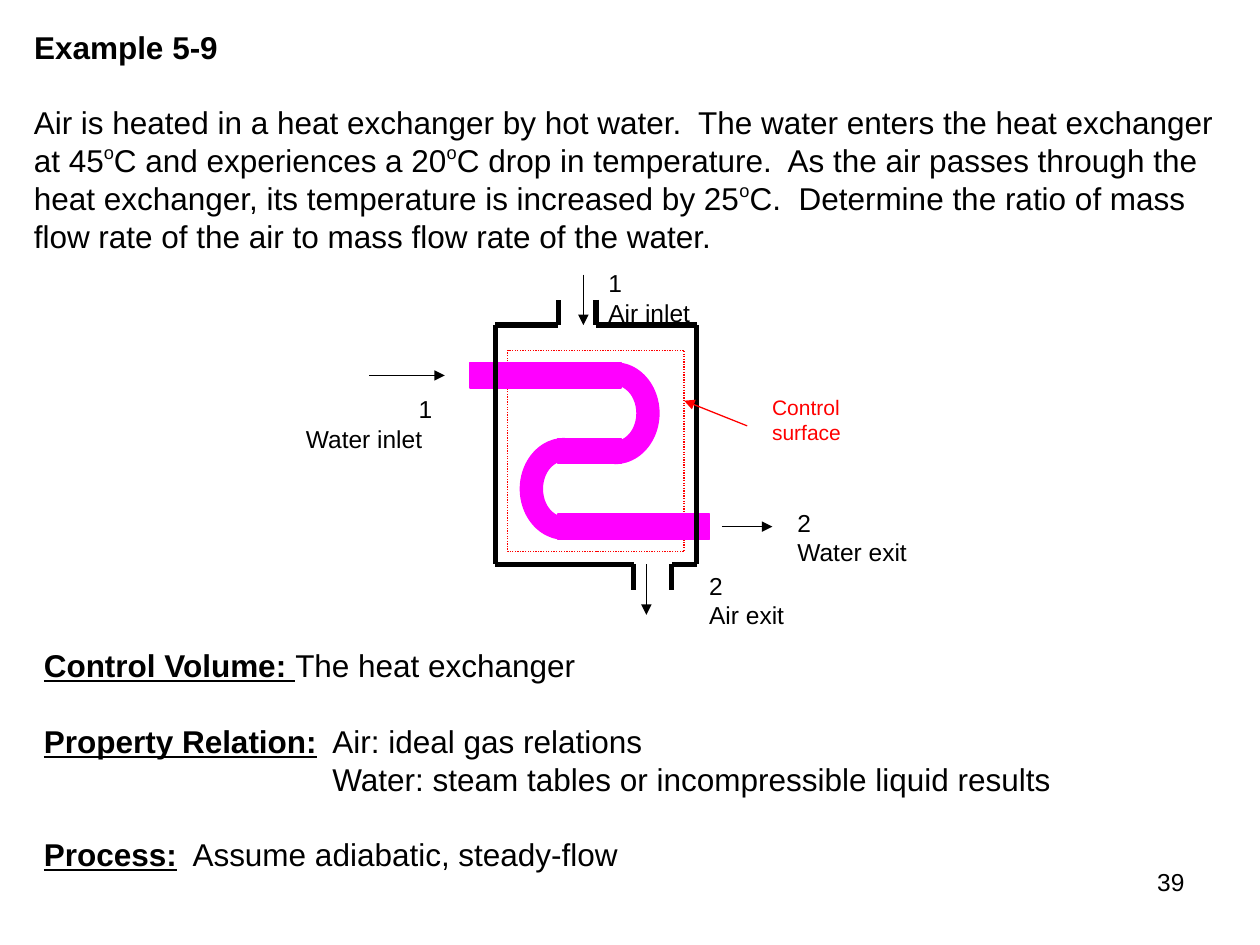
from dataclasses import dataclass

from lxml.etree import SubElement
from pptx import Presentation
from pptx.dml.color import RGBColor
from pptx.enum.dml import MSO_LINE
from pptx.enum.shapes import MSO_CONNECTOR, MSO_SHAPE
from pptx.enum.text import MSO_ANCHOR, MSO_AUTO_SIZE, PP_ALIGN
from pptx.oxml.ns import qn
from pptx.util import Inches, Pt


@dataclass(frozen=True)
class Theme:
    font: str = "Arial"
    ink: RGBColor = RGBColor(0, 0, 0)
    paper: RGBColor = RGBColor(255, 255, 255)
    boundary: RGBColor = RGBColor(255, 0, 0)
    water: RGBColor = RGBColor(255, 0, 255)
    body_size: int = 18
    label_size: int = 14
    note_size: int = 12
    thin: float = 0.75
    wall: float = 3
    section_gap: float = 21.6


HEADING = {"bold": True, "underline": True}
RAISED = {"baseline": "42000"}


class SlideBuilder:
    def __init__(self, slide, theme):
        self.slide = slide
        self.theme = theme

    def set_text(self, frame, paragraphs, size, color=None, align=PP_ALIGN.LEFT,
                 anchor=MSO_ANCHOR.TOP):
        """Fill a frame; each paragraph is (runs, format), each run (text, style)."""
        frame_format = {"word_wrap": True, "auto_size": MSO_AUTO_SIZE.NONE,
                        "vertical_anchor": anchor}
        for name, value in frame_format.items():
            setattr(frame, name, value)
        for number, (runs, layout) in enumerate(paragraphs):
            paragraph = frame.add_paragraph() if number else frame.paragraphs[0]
            layout = {"alignment": align, **layout}
            properties = paragraph._p.get_or_add_pPr()
            for name in ("marL", "indent"):
                if name in layout:
                    properties.set(name, str(Inches(layout.pop(name))))
            for name, value in layout.items():
                setattr(paragraph, name, value)
            for text, style in runs:
                run = paragraph.add_run()
                run.text = text
                run.font.color.rgb = color or self.theme.ink
                style = {"name": self.theme.font, "size": Pt(size), "bold": False, **style}
                baseline = style.pop("baseline", None)
                if baseline:
                    run._r.get_or_add_rPr().set("baseline", baseline)
                for name, value in style.items():
                    setattr(run.font, name, value)

    def title(self, text, box):
        heading = self.slide.shapes.title
        for name, value in zip(("left", "top", "width", "height"), box):
            setattr(heading, name, Inches(value))
        self.set_text(heading.text_frame, [([(text, {"bold": True})], {})],
                      self.theme.body_size)

    def text(self, box, paragraphs, size, **options):
        frame = self.slide.shapes.add_textbox(*map(Inches, box)).text_frame
        self.set_text(frame, paragraphs, size, **options)

    def label(self, box, *lines, size=None, **options):
        self.text(box, [([(line, {})], {}) for line in lines],
                  size or self.theme.label_size, **options)

    def shape(self, preset, box, fill, line, rotation=0, dash=None):
        part = self.slide.shapes.add_shape(preset, *map(Inches, box))
        part.shadow.inherit = False
        part.rotation = rotation
        part.fill.solid()
        part.fill.fore_color.rgb = fill
        part.line.color.rgb = line
        part.line.width = Pt(self.theme.thin)
        if dash:
            part.line.dash_style = dash
        return part

    def pipe(self, box):
        self.shape(MSO_SHAPE.RECTANGLE, box, self.theme.water, self.theme.water)

    def bend(self, box, rotation):
        elbow = self.shape(MSO_SHAPE.BLOCK_ARC, box, self.theme.water,
                           self.theme.water, rotation)
        for index, value in enumerate((108, 0, 0.25)):
            elbow.adjustments[index] = value

    def line(self, start, end, width, color=None):
        stroke = self.slide.shapes.add_connector(
            MSO_CONNECTOR.STRAIGHT, *map(Inches, (*start, *end)))
        stroke.line.color.rgb = color or self.theme.ink
        stroke.line.width = Pt(width)
        SubElement(stroke._element.spPr, qn("a:effectLst"))
        return stroke

    def arrow(self, start, end, color=None):
        stroke = self.line(start, end, self.theme.thin, color)
        outline = stroke._element.spPr.find(qn("a:ln"))
        SubElement(outline, qn("a:tailEnd"), type="triangle")


def add_problem(builder):
    builder.title("Example 5-9", (0.17, 0.17, 9.67, 0.4))
    statement = [
        ("Air is heated in a heat exchanger by hot water.  The water enters the "
         "heat exchanger at 45", {}),
        ("o", RAISED),
        ("C and experiences a 20", {}),
        ("o", RAISED),
        ("C drop in temperature.  As the air passes through the heat exchanger, "
         "its temperature is increased by 25", {}),
        ("o", RAISED),
        ("C.  Determine the ratio of mass flow rate of the air to mass flow rate "
         "of the water.", {}),
    ]
    builder.text((0.17, 0.77, 9.67, 1.3), [(statement, {})], builder.theme.body_size)


def add_heat_exchanger(builder):
    theme = builder.theme
    left, right, top, bottom = 3.93, 5.53, 2.58, 4.48

    builder.shape(MSO_SHAPE.RECTANGLE, (left + 0.1, top + 0.2, 1.4, 1.6),
                  theme.paper, theme.boundary, dash=MSO_LINE.ROUND_DOT)
    builder.bend((4.08, 3.53, 0.8, 0.7), 270)
    builder.bend((4.48, 2.93, 0.8, 0.7), 90)
    for x, y, length in ((4.43, 3.48, 0.5), (4.43, 4.08, 1.2), (3.73, 2.88, 1.2)):
        builder.pipe((x, y, length, 0.2))

    inlet_left, inlet_right, inlet_top = 4.43, 4.73, top - 0.2
    exit_left, exit_right, exit_bottom = 5.03, 5.33, bottom + 0.2
    walls = (
        ((left, top), (left, bottom)),
        ((right, top), (right, bottom)),
        ((left, top), (inlet_left, top)),
        ((inlet_left, top), (inlet_left, inlet_top)),
        ((inlet_right, inlet_top), (inlet_right, top)),
        ((inlet_right, top), (right, top)),
        ((right, bottom), (exit_right, bottom)),
        ((exit_right, bottom), (exit_right, exit_bottom)),
        ((exit_left, bottom), (exit_left, exit_bottom)),
        ((exit_left, bottom), (left, bottom)),
    )
    for start, end in walls:
        builder.line(start, end, theme.wall)

    flows = (((4.63, 2.18), (4.63, top)), ((5.13, bottom), (5.13, 4.88)),
             ((2.93, 2.98), (3.53, 2.98)), ((5.73, 4.18), (6.13, 4.18)))
    for start, end in flows:
        builder.arrow(start, end)

    builder.label((4.73, 2.08, 0.9, 0.6), "1", "Air inlet")
    builder.label((6.23, 3.98, 1.1, 0.6), "2", "Water exit")
    builder.label((5.53, 4.48, 0.9, 0.6), "2", "Air exit")
    builder.text((2.33, 3.08, 1.2, 0.6),
                 [([("1", {})], {"alignment": PP_ALIGN.RIGHT}),
                  ([("Water inlet", {})], {})], theme.label_size)

    builder.label((6.03, 3.08, 0.8, 0.5), "Control", "surface", size=theme.note_size,
                  color=theme.boundary, align=PP_ALIGN.JUSTIFY)
    builder.arrow((5.93, 3.38), (5.43, 3.18), theme.boundary)


def add_solution_setup(builder):
    gap = {"space_before": Pt(builder.theme.section_gap)}
    relation_indent, process_indent = 2.29, 1.18
    builder.text((0.25, 5.08, 8.27, 1.9), [
        ([("Control Volume: ", HEADING), ("The heat exchanger", {})], {}),
        ([("Property Relation:", HEADING), ("\tAir: ideal gas relations", {})],
         {"marL": relation_indent, "indent": -relation_indent, **gap}),
        ([("Water: steam tables or incompressible liquid results", {})],
         {"marL": relation_indent, "indent": 0}),
        ([("Process:", HEADING), ("\tAssume adiabatic, steady-flow", {})],
         {"marL": process_indent, "indent": -process_indent, **gap}),
    ], builder.theme.body_size, anchor=MSO_ANCHOR.MIDDLE)
    builder.label((7.17, 6.83, 2.33, 0.52), "39", align=PP_ALIGN.RIGHT)


def main():
    presentation = Presentation()
    presentation.slide_width, presentation.slide_height = Inches(10), Inches(7.5)
    title_only = presentation.slide_layouts[5]
    builder = SlideBuilder(presentation.slides.add_slide(title_only), Theme())
    add_problem(builder)
    add_heat_exchanger(builder)
    add_solution_setup(builder)
    presentation.save("out.pptx")


if __name__ == "__main__":
    main()
